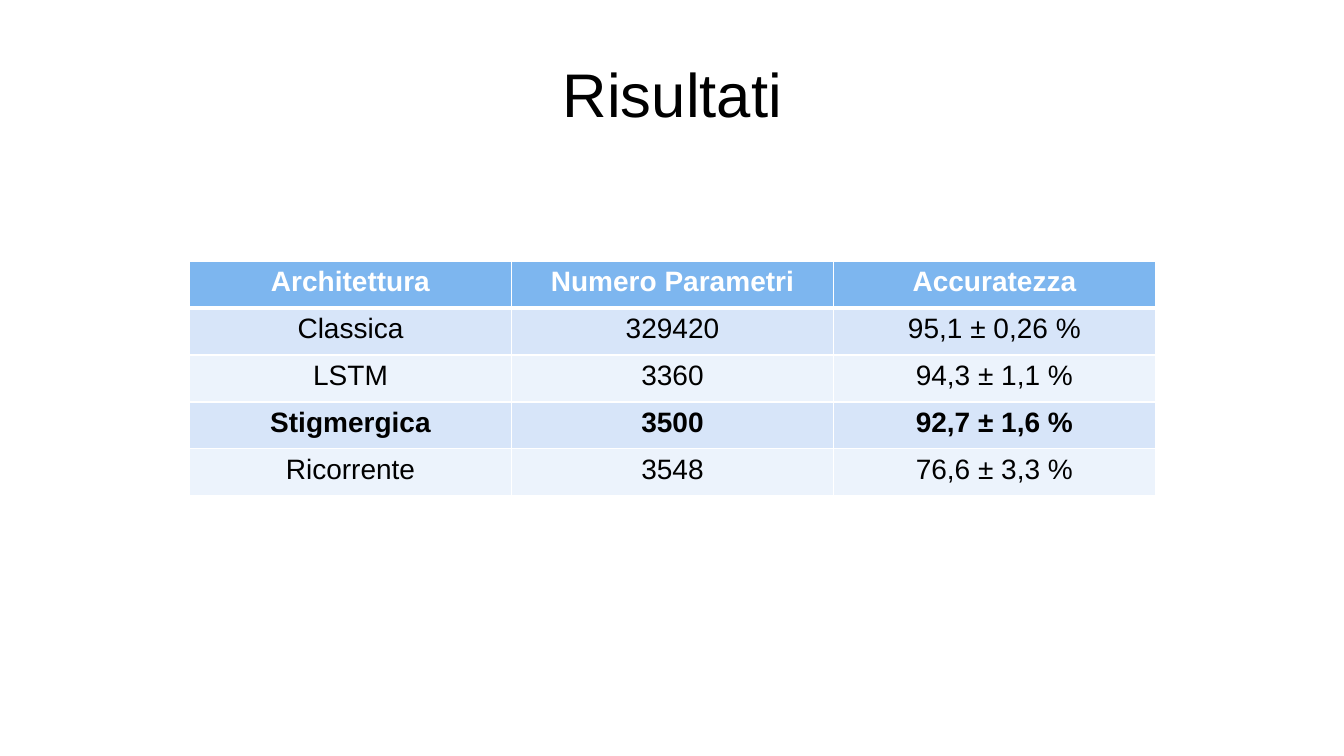
import pptx
import pptx.util
import pptx.dml.color
import pptx.enum.text
import pptx.oxml.ns
from lxml import etree

Inches = pptx.util.Inches
TITLE = "Risultati"
HEAD = ("Architettura", "Numero Parametri", "Accuratezza")
ROWS = [
    ("Classica", "329420", "95,1 ± 0,26 %"),
    ("LSTM", "3360", "94,3 ± 1,1 %"),
    ("Stigmergica", "3500", "92,7 ± 1,6 %"),
    ("Ricorrente", "3548", "76,6 ± 3,3 %"),
]
BEST = "Stigmergica"
COLORS = {"head": "7DB6EF", "odd": "D7E5F9", "even": "ECF3FC",
          "white": "FFFFFF", "black": "000000"}
FONTS = {
    "title": {"name": "Arial", "size": pptx.util.Pt(44), "bold": False},
    "body": {"name": "Arial", "size": pptx.util.Pt(20), "bold": False},
    "strong": {"name": "Arial", "size": pptx.util.Pt(20), "bold": True},
}
TABLE = (1.88, 2.59, 9.58, 2.33)


def color(key):
    return pptx.dml.color.RGBColor.from_string(COLORS[key])


def write(frame, text, font, ink):
    para = frame.paragraphs[0]
    para.alignment = pptx.enum.text.PP_ALIGN.CENTER
    run = para.add_run()
    run.text = text
    for name, value in FONTS[font].items():
        setattr(run.font, name, value)
    run.font.color.rgb = color(ink)


def border(cell, sides):
    props = cell._tc.get_or_add_tcPr()
    tag = pptx.oxml.ns.qn
    for side, width in sides.items():
        line = etree.SubElement(props, tag("a:ln" + side), w=str(pptx.util.Pt(width)))
        fill = etree.SubElement(line, tag("a:solidFill"))
        etree.SubElement(fill, tag("a:srgbClr"), val=COLORS["white"])


def add_title(slide):
    box = slide.shapes.add_textbox(*map(Inches, (0.67, 0.3, 12, 1.25)))
    frame = box.text_frame
    form = {"word_wrap": True, "vertical_anchor": pptx.enum.text.MSO_ANCHOR.MIDDLE}
    for name, value in form.items():
        setattr(frame, name, value)
    write(frame, TITLE, "title", "black")


def add_table(slide):
    data = [HEAD] + ROWS
    table = slide.shapes.add_table(len(data), len(HEAD), *map(Inches, TABLE)).table
    for r, row in enumerate(data):
        top = r == 0
        tone = "head" if top else "odd" if r % 2 else "even"
        font = "strong" if top or row[0] == BEST else "body"
        sides = {"L": 1, "R": 1, "T": 3 if r == 1 else 1, "B": 3 if top else 1}
        for c, text in enumerate(row):
            cell = table.cell(r, c)
            border(cell, sides)
            cell.fill.solid()
            cell.fill.fore_color.rgb = color(tone)
            write(cell.text_frame, text, font, "white" if top else "black")


def main():
    deck = pptx.Presentation()
    deck.slide_width, deck.slide_height = Inches(13.33), Inches(7.5)
    slide = deck.slides.add_slide(deck.slide_layouts[6])
    add_title(slide)
    add_table(slide)
    deck.save("out.pptx")


if __name__ == "__main__":
    main()
